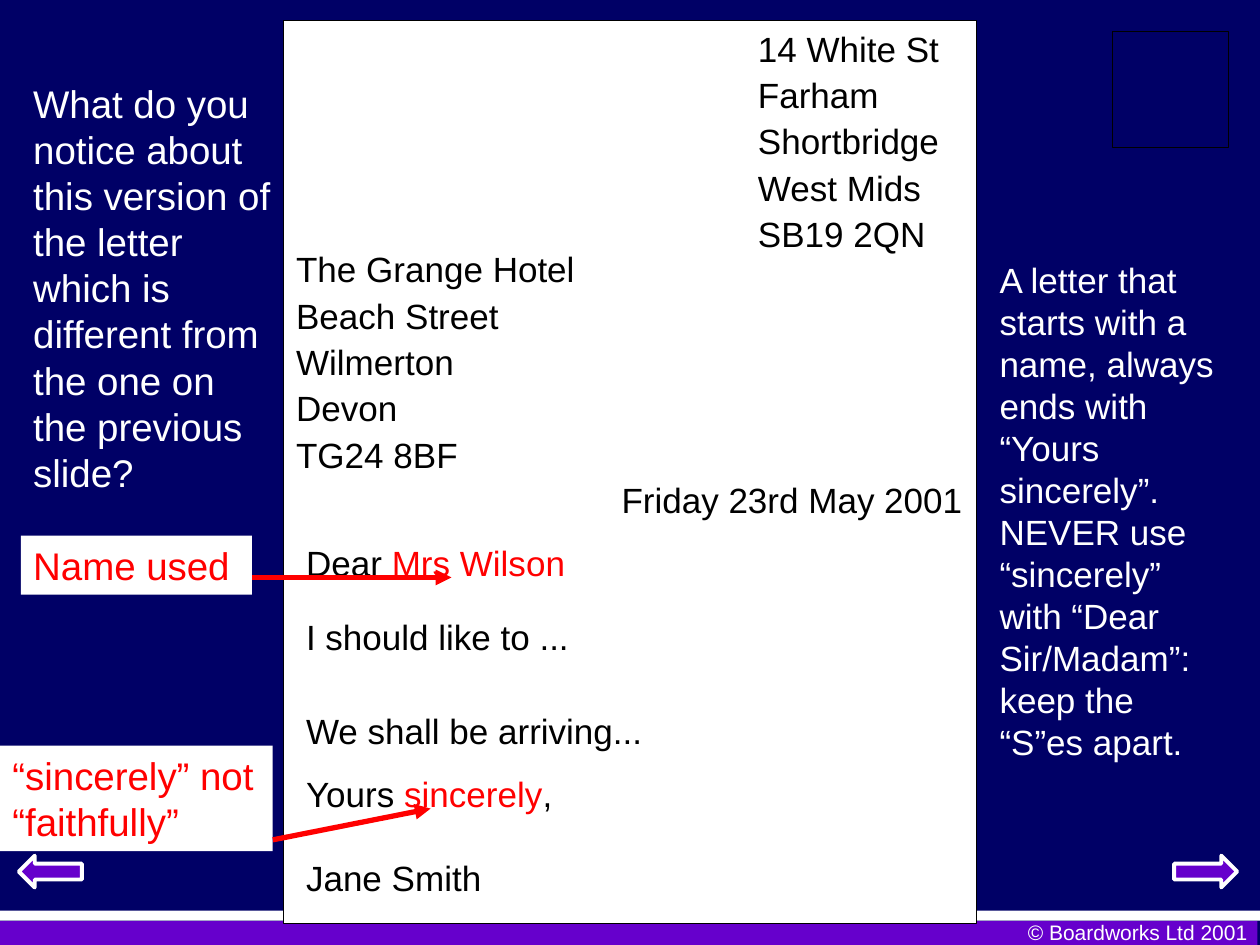
from lxml.etree import SubElement
from pptx import Presentation
from pptx.dml.color import RGBColor
from pptx.enum.shapes import MSO_CONNECTOR, MSO_SHAPE
from pptx.enum.text import MSO_ANCHOR, PP_ALIGN as ALIGN
from pptx.oxml.ns import qn
from pptx.util import Cm, Pt

NAVY, PURPLE, WHITE, BLACK, RED = "000066", "6600CC", "FFFFFF", "000000", "FF0000"


def rgb(value):
    """Turn a hex string into a colour."""
    return RGBColor.from_string(value)


def add_block(s, box, fill=None, line=None, width=0.75, kind=MSO_SHAPE.RECTANGLE):
    """Add a preset shape with an optional fill and outline."""
    sp = s.shapes.add_shape(kind, *map(Cm, box))
    sp.shadow.inherit = False
    if fill:
        sp.fill.solid()
        sp.fill.fore_color.rgb = rgb(fill)
    else:
        sp.fill.background()
    if line:
        sp.line.color.rgb = rgb(line)
        sp.line.width = Pt(width)
    else:
        sp.line.fill.background()
    return sp


def write(sp, paragraphs, size=20, align=ALIGN.LEFT, gap=2.5):
    """Fill a shape with paragraphs, each a list of (text, colour) runs."""
    tf = sp.text_frame
    tf.word_wrap = True
    tf.vertical_anchor = MSO_ANCHOR.TOP
    for i, runs in enumerate(paragraphs):
        p = tf.paragraphs[0] if i == 0 else tf.add_paragraph()
        p.alignment = align
        p.font.name, p.font.size = "Arial", Pt(size)
        if i:
            p.space_before = Pt(gap)
        for text, color in runs:
            r = p.add_run()
            r.text = text
            r.font.color.rgb = rgb(color)


def add_text(s, box, paragraphs, **style):
    """Add a text box holding the given paragraphs."""
    write(s.shapes.add_textbox(*map(Cm, box)), paragraphs, **style)


def add_label(s, box, text):
    """Add a white label with red text."""
    write(add_block(s, box, WHITE), [[(text, RED)]], size=22)


def add_arrow(s, *ends):
    """Add a red arrow between two points."""
    c = s.shapes.add_connector(MSO_CONNECTOR.STRAIGHT, *map(Cm, ends))
    c.line.color.rgb = rgb(RED)
    c.line.width = Pt(3)
    SubElement(c.line._get_or_add_ln(), qn("a:tailEnd"), type="triangle")
    SubElement(c._element.spPr, qn("a:effectLst"))


def add_footer(s):
    """Add the bottom bands, copyright line and navigation arrows."""
    add_block(s, (-0.05, 18.57, 25.4, 0.48), PURPLE)
    add_text(s, (19.48, 18.42, 5.92, 0.76), [[("© Boardworks Ltd 2001", WHITE)]],
             size=12, align=ALIGN.RIGHT)
    add_block(s, (0, 18.36, 25.4, 0.2), WHITE)
    for left, turn in ((23.67, 0), (0.38, 180)):
        sp = add_block(s, (left, 17.25, 1.27, 0.64), PURPLE, WHITE, 2.25,
                       MSO_SHAPE.RIGHT_ARROW)
        sp.rotation = turn


def add_letter(s):
    """Add the sheet with addresses, date and letter body."""
    add_block(s, (5.72, 0.42, 13.97, 18.2), WHITE, BLACK)
    sender = ["14 White St", "Farham", "Shortbridge", "West Mids", "SB19 2QN"]
    hotel = ["The Grange Hotel", "Beach Street", "Wilmerton", "Devon", "TG24 8BF"]
    for box, address in (((15.03, 0.42, 4.87, 4.85), sender),
                         ((5.72, 4.87, 6.14, 4.85), hotel)):
        add_text(s, box, [[(row, BLACK)] for row in address])
    add_text(s, (12.28, 9.53, 7.41, 1.11), [[("Friday 23rd May 2001", BLACK)]])
    body = [
        (10.8, 5.92, [("Dear ", BLACK), ("Mrs Wilson", RED)]),
        (12.28, 8.68, [("I should like to ...", BLACK)]),
        (14.18, 7.62, [("We shall be arriving...", BLACK)]),
        (15.45, 5.92, [("Yours ", BLACK), ("sincerely", RED), (",", BLACK)]),
        (17.15, 4.66, [("Jane Smith", BLACK)]),
    ]
    for top, width, runs in body:
        add_text(s, (5.92, top, width, 1.11), [runs])


def add_notes_around(s):
    """Add the question, the rule and the labels pointing into the letter."""
    question = ("What do you notice about this version of the letter which is "
                "different from the one on the previous slide?")
    rule = ("A letter that starts with a name, always ends with “Yours sincerely”. "
            "NEVER use “sincerely” with “Dear Sir/Madam”: keep the “S”es apart.")
    add_text(s, (0.42, 1.48, 5.29, 8.64), [[(question, WHITE)]], size=22)
    add_text(s, (19.9, 5.08, 5.08, 10.41), [[(rule, WHITE)]])
    add_label(s, (0.42, 10.8, 4.66, 1.19), "Name used")
    add_arrow(s, 5.08, 11.64, 9.1, 11.64)
    add_label(s, (0, 15.03, 5.5, 2.13), "“sincerely” not “faithfully”")
    add_arrow(s, 5.5, 16.93, 8.68, 16.3)


def main():
    """Build the slide and save it."""
    prs = Presentation()
    prs.slide_width, prs.slide_height = Cm(25.4), Cm(19.05)
    s = prs.slides.add_slide(prs.slide_layouts[6])
    s.background.fill.solid()
    s.background.fill.fore_color.rgb = rgb(NAVY)
    add_footer(s)
    add_block(s, (22.43, 0.64, 2.34, 2.34), line=BLACK)
    add_letter(s)
    add_notes_around(s)
    prs.save("out.pptx")


if __name__ == "__main__":
    main()
